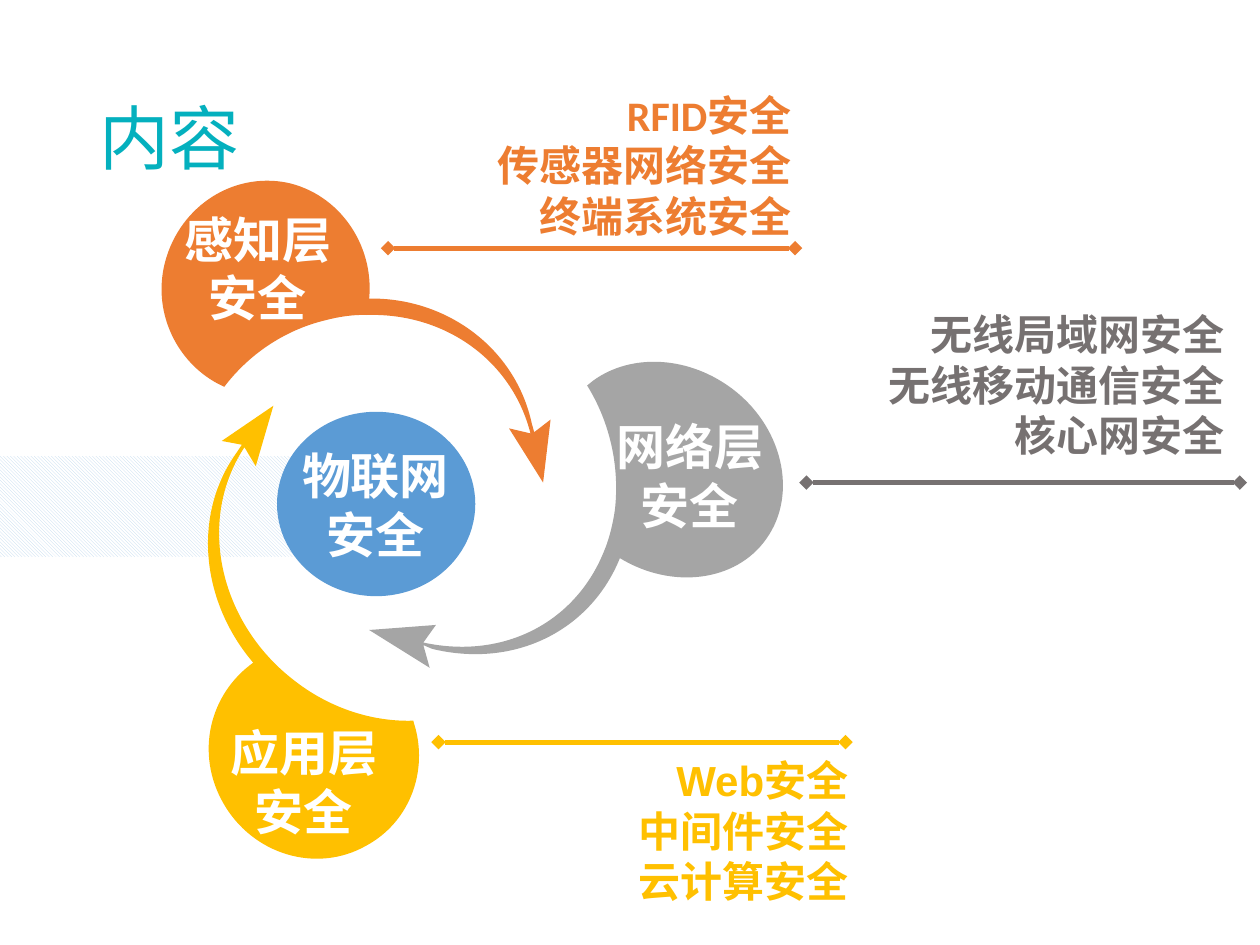
import math

from lxml import etree
from pptx import Presentation
from pptx import util as u
from pptx.dml import color as dml
from pptx.enum import dml as patterns
from pptx.enum import shapes, text
from pptx.oxml import ns

COLORS = {
    "title": "04B0BE", "band": "BDD7EE", "white": "FFFFFF", "core": "5B9BD5",
    "sensing": "ED7D31", "network": "A5A5A5", "network_list": "767171",
    "application": "FFC000",
}

PETALS = {
    "sensing": ((0.25, 0.6, 3.29, 1.92), 11.6, [
        (3.31, 2.83), (3.37, 2.33), (3.24, 2.43), (3.22, 2.36),
        (3.09, 1.76, 2.54, 1.36, 1.93, 1.37), (1.97, 0.94, 1.69, 0.54, 1.28, 0.45),
        (0.83, 0.36, 0.4, 0.66, 0.3, 1.12), (0.22, 1.5, 0.41, 1.87, 0.72, 2.04),
        (0.78, 2.07), (0.97, 1.82, 1.25, 1.62, 1.59, 1.54),
        (1.78, 1.49, 1.91, 1.5, 1.91, 1.5), (2.52, 1.48, 3.06, 1.85, 3.21, 2.44),
        (3.04, 2.4),
    ]),
    "network": ((2.68, 1.69, 2.13, 3.24), 35.9, [
        (1.93, 4), (2.41, 4.3), (2.36, 4.12), (2.43, 4.15),
        (3.09, 4.31, 3.69, 4, 3.92, 3.43), (4.33, 3.68, 4.84, 3.62, 5.08, 3.28),
        (5.34, 2.92, 5.21, 2.37, 4.79, 2.07), (4.44, 1.82, 4, 1.81, 3.71, 2.02),
        (3.66, 2.06), (3.84, 2.35, 3.92, 2.7, 3.88, 3.05),
        (3.85, 3.25, 3.8, 3.36, 3.8, 3.36), (3.58, 3.93, 3.01, 4.24, 2.36, 4.1),
        (2.46, 3.96),
    ]),
    "application": ((-0.59, 3.28, 3.47, 1.79), 63.3, [
        (1.17, 2.22), (0.76, 2.5), (0.92, 2.53), (0.88, 2.59),
        (0.52, 3.09, 0.6, 3.78, 1.01, 4.26), (0.66, 4.51, 0.55, 4.98, 0.77, 5.37),
        (1, 5.78, 1.51, 5.94, 1.91, 5.71), (2.24, 5.53, 2.39, 5.15, 2.3, 4.79),
        (2.28, 4.72), (1.97, 4.73, 1.64, 4.63, 1.36, 4.42),
        (1.2, 4.3, 1.12, 4.2, 1.11, 4.19), (0.7, 3.72, 0.61, 3.05, 0.94, 2.55),
        (1.03, 2.7),
    ]),
}


def rgb(name):
    return dml.RGBColor.from_string(COLORS[name])


def add_text(slide, box, lines, size, color, align, font="Calibri", bold=True,
             anchor=text.MSO_ANCHOR.TOP, left_inset=0.1, right_inset=0.1,
             wrap=False, spacing=None):
    frame = slide.shapes.add_textbox(*map(u.Inches, box)).text_frame
    frame.word_wrap = wrap
    frame.vertical_anchor = anchor
    frame.margin_left, frame.margin_right = u.Inches(left_inset), u.Inches(right_inset)
    frame.text = "\n".join(lines)
    for paragraph in frame.paragraphs:
        paragraph.alignment = align
        paragraph.line_spacing = spacing
        for run in paragraph.runs:
            run.font.name, run.font.size, run.font.bold = font, u.Pt(size), bold
            run.font.color.rgb = rgb(color)


def add_band(slide, box):
    band = slide.shapes.add_shape(shapes.MSO_SHAPE.RECTANGLE, *map(u.Inches, box))
    band.shadow.inherit = False
    band.line.fill.background()
    band.fill.patterned()
    band.fill.pattern = patterns.MSO_PATTERN.DARK_DOWNWARD_DIAGONAL
    band.fill.fore_color.rgb = rgb("band")
    band.fill.back_color.rgb = rgb("white")


def add_title(slide, box):
    add_text(slide, box, ["内容"], 40, "title", text.PP_ALIGN.LEFT, font="Arial",
             bold=False, anchor=text.MSO_ANCHOR.MIDDLE, spacing=0.9)


def unrotate(point, box, angle):
    left, top, width, height = box
    dx, dy = point[0] - left - width / 2, point[1] - top - height / 2
    cos, sin = math.cos(math.radians(angle)), math.sin(math.radians(angle))
    return (u.Inches(width / 2 + dx * cos + dy * sin),
            u.Inches(height / 2 - dx * sin + dy * cos))


def add_petal(slide, left, top, box, angle, segments, color):
    curves = [[unrotate(segment[i:i + 2], box, angle) for i in range(0, len(segment), 2)]
              for segment in segments]
    builder = slide.shapes.build_freeform(*curves[0][0])
    builder.add_line_segments([curve[-1] for curve in curves[1:]], close=True)
    petal = builder.convert_to_shape()
    petal.left, petal.top = u.Inches(left + box[0]), u.Inches(top + box[1])
    petal.width, petal.height = u.Inches(box[2]), u.Inches(box[3])
    petal.rotation = angle
    outline = petal._element.find(".//" + ns.qn("a:path"))
    outline.set("w", str(petal.width))
    outline.set("h", str(petal.height))
    for step, curve in zip(list(outline), curves):
        kind = step.tag if len(curve) == 1 else ns.qn("a:cubicBezTo")
        replacement = etree.Element(kind)
        for x, y in curve:
            etree.SubElement(replacement, ns.qn("a:pt"), x=str(x), y=str(y))
        outline.replace(step, replacement)
    petal.shadow.inherit = False
    petal.fill.solid()
    petal.fill.fore_color.rgb = rgb(color)
    petal.line.fill.background()


def add_cycle(slide, left, top):
    core = slide.shapes.add_shape(
        shapes.MSO_SHAPE.OVAL, u.Inches(left + 1.24), u.Inches(top + 2.31),
        u.Inches(1.49), u.Inches(1.38))
    core.shadow.inherit = False
    core.fill.solid()
    core.fill.fore_color.rgb = rgb("core")
    core.line.color.rgb = rgb("core")
    core.line.width = u.Pt(6)
    for color, (box, angle, segments) in PETALS.items():
        add_petal(slide, left, top, box, angle, segments, color)

    anchors = text.MSO_ANCHOR
    labels = [
        ("物联网", (1.31, 2.36, 1.34, 1.29), anchors.MIDDLE, 0, 0),
        ("网络层", (3.61, 2.17, 1.53, 1.12), anchors.BOTTOM, 0.2, 0),
        ("感知层", (0.41, 0.61, 1.47, 1.14), anchors.TOP, 0, 0.2),
        ("应用层", (0.45, 4.65, 1.74, 1.07), anchors.BOTTOM, 0.28, 0.1),
    ]
    for layer, (x, y, width, height), anchor, left_inset, right_inset in labels:
        add_text(slide, (left + x, top + y, width, height), [layer, "安全"], 28, "white",
                 text.PP_ALIGN.CENTER, anchor=anchor,
                 left_inset=left_inset, right_inset=right_inset)


def add_topic_list(slide, box, topics, color, rule_offset, rule_start, rule_length,
                   font="Calibri"):
    left, top = box[:2]
    add_text(slide, box, topics, 24, color, text.PP_ALIGN.RIGHT, font=font, wrap=True)
    x, y = left + rule_start, top + rule_offset
    rule = slide.shapes.add_connector(
        shapes.MSO_CONNECTOR.STRAIGHT, u.Inches(x), u.Inches(y),
        u.Inches(x + rule_length), u.Inches(y))
    rule.line.color.rgb = rgb(color)
    rule.line.width = u.Pt(2.75)
    for end in ("a:headEnd", "a:tailEnd"):
        etree.SubElement(rule.line._get_or_add_ln(), ns.qn(end), type="diamond")
    etree.SubElement(rule._element.spPr, ns.qn("a:effectLst"))


def main():
    deck = Presentation()
    deck.slide_width, deck.slide_height = u.Inches(10), u.Inches(7.5)
    slide = deck.slides.add_slide(deck.slide_layouts[6])
    add_band(slide, (0, 3.62, 2.54, 0.8))
    add_title(slide, (0.69, 0.77, 1.32, 0.71))
    add_cycle(slide, 1, 1)
    add_topic_list(slide, (3, 0.66, 3.38, 1.33),
                   ["RFID安全", "传感器网络安全", "终端系统安全"],
                   "sensing", 1.31, 0.08, 3.23)
    add_topic_list(slide, (6.78, 2.4, 3.04, 1.39),
                   ["无线局域网安全", "无线移动通信安全", "核心网安全"],
                   "network_list", 1.43, -0.38, 3.44)
    add_topic_list(slide, (3.33, 5.94, 3.5, 1.44),
                   ["Web安全", "中间件安全", "云计算安全"],
                   "application", -0.05, 0.15, 3.23, font="Arial")
    deck.save("out.pptx")


if __name__ == "__main__":
    main()
